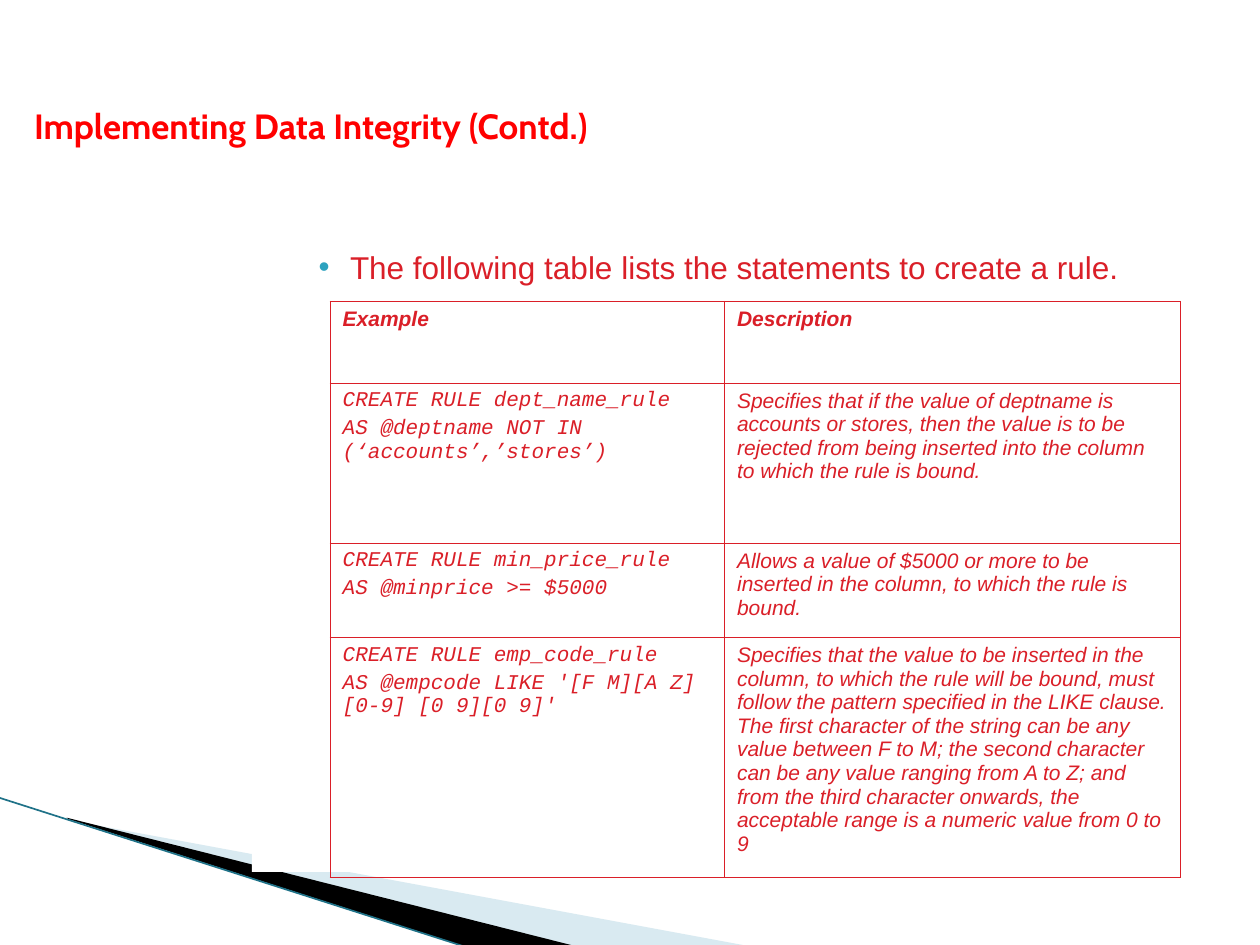
from lxml import etree
from pptx import Presentation
from pptx.dml.color import RGBColor
from pptx.enum import shapes, text
from pptx.oxml import ns
from pptx.util import Inches, Pt

RED = RGBColor(0xDA, 0x1F, 0x28)
TITLE_RED = RGBColor(0xFF, 0x00, 0x00)
BLACK = RGBColor(0x00, 0x00, 0x00)
WHITE = RGBColor(0xFF, 0xFF, 0xFF)
PALE_BLUE = RGBColor(0xA0, 0xCB, 0xDC)
TEAL = RGBColor(0x1F, 0x72, 0x88)
BULLET_BLUE = RGBColor(0x2D, 0xA2, 0xBF)


def add_run(p, words, font, size, color, bold=False, italic=False):
    r = p.add_run()
    r.text = words
    f = r.font
    f.name, f.size, f.bold, f.italic = font, Pt(size), bold, italic
    f.color.rgb = color


def add_color(parent, color):
    clr = etree.SubElement(parent, ns.qn("a:srgbClr"))
    clr.set("val", str(color))


prs = Presentation()
prs.slide_width, prs.slide_height = Inches(10), Inches(7.5)
s = prs.slides.add_slide(prs.slide_layouts[5])

wedges = [
    (PALE_BLUE, [(0.55, 6.51), (5.95, 7.51), (4.56, 7.51), (0.55, 6.5)]),
    (BLACK, [(0.53, 6.49), (4.57, 7.51), (3.72, 7.52), (0.54, 6.5)]),
]
for color, corners in wedges:
    points = [(Inches(x), Inches(y)) for x, y in corners]
    fb = s.shapes.build_freeform(*points[0])
    fb.add_line_segments(points[1:], close=True)
    sp = fb.convert_to_shape()
    sp.shadow.inherit = False
    sp.fill.solid()
    sp.fill.fore_color.rgb = color
    sp.line.fill.background()
    if color == PALE_BLUE:
        clr = sp._element.spPr.find(".//" + ns.qn("a:srgbClr"))
        etree.SubElement(clr, ns.qn("a:alpha")).set("val", "40000")

edge = s.shapes.add_connector(
    shapes.MSO_CONNECTOR.STRAIGHT, Inches(-0.01), Inches(6.33), Inches(3.71), Inches(7.52))
edge.line.color.rgb = TEAL
edge.line.width = Pt(0.95)
etree.SubElement(edge._element.spPr, ns.qn("a:effectLst"))

body = s.shapes.add_shape(
    shapes.MSO_SHAPE.RECTANGLE, Inches(2), Inches(1.92), Inches(8), Inches(5))
body.shadow.inherit = False
body.fill.solid()
body.fill.fore_color.rgb = WHITE
body.line.fill.background()
tf = body.text_frame
tf.word_wrap = True
tf.vertical_anchor = text.MSO_ANCHOR.TOP
p = tf.paragraphs[0]
p.alignment = text.PP_ALIGN.LEFT
p.space_before = Pt(3.2)
pPr = p._p.get_or_add_pPr()
pPr.set("marL", str(Inches(0.68)))
pPr.set("indent", str(Inches(-0.25)))
add_color(etree.SubElement(pPr, ns.qn("a:buClr")), BULLET_BLUE)
etree.SubElement(pPr, ns.qn("a:buFont")).set("typeface", "Arial")
etree.SubElement(pPr, ns.qn("a:buChar")).set("char", "•")
add_run(p, "The following table lists the statements to create a rule.", "Arial", 18, RED)

rows = [
    (0.65, ["Example"], "Description"),
    (1.27, ["CREATE RULE dept_name_rule", "AS @deptname NOT IN (‘accounts’,’stores’)"],
     "Specifies that if the value of deptname is accounts or stores, then the value is to be "
     "rejected from being inserted into the column to which the rule is bound."),
    (0.75, ["CREATE RULE min_price_rule", "AS @minprice >= $5000"],
     "Allows a value of $5000 or more to be inserted in the column, to which the rule is bound."),
    (1.9, ["CREATE RULE emp_code_rule", "AS @empcode LIKE '[F M][A Z][0-9] [0 9][0 9]'"],
     "Specifies that the value to be inserted in the column, to which the rule will be bound, "
     "must follow the pattern specified in the LIKE clause. The first character of the string "
     "can be any value between F to M; the second character can be any value ranging from A to Z; "
     "and from the third character onwards, the acceptable range is a numeric value from 0 to 9"),
]
table = s.shapes.add_table(
    len(rows), 2, Inches(2.62), Inches(2.39), Inches(6.75), Inches(4.57)).table
table.horz_banding = False
table.columns[0].width = Inches(3.13)
table.columns[1].width = Inches(3.62)
for i, (height, example, description) in enumerate(rows):
    table.rows[i].height = Inches(height)
    for j, lines in enumerate([example, [description]]):
        cell = table.cell(i, j)
        cell.fill.background()
        tcPr = cell._tc.get_or_add_tcPr()
        for k, side in enumerate(["a:lnL", "a:lnR", "a:lnT", "a:lnB"]):
            ln = etree.Element(ns.qn(side), w=str(Pt(0.5)))
            add_color(etree.SubElement(ln, ns.qn("a:solidFill")), RED)
            tcPr.insert(k, ln)
        font = "Courier New" if i and j == 0 else "Arial"
        tf = cell.text_frame
        for n, line in enumerate(lines):
            p = tf.add_paragraph() if n else tf.paragraphs[0]
            p.space_before = Pt(2.4)
            add_run(p, line, font, 12, RED, bold=i == 0, italic=True)

title = s.shapes.title
title.left, title.top = Inches(0.17), Inches(0.78)
title.width, title.height = Inches(9.58), Inches(0.43)
tf = title.text_frame
tf.word_wrap = True
tf.vertical_anchor = text.MSO_ANCHOR.TOP
p = tf.paragraphs[0]
p.alignment = text.PP_ALIGN.LEFT
add_run(p, "Implementing Data Integrity (Contd.)", "Cabin", 20, TITLE_RED, bold=True)

prs.save("out.pptx")
